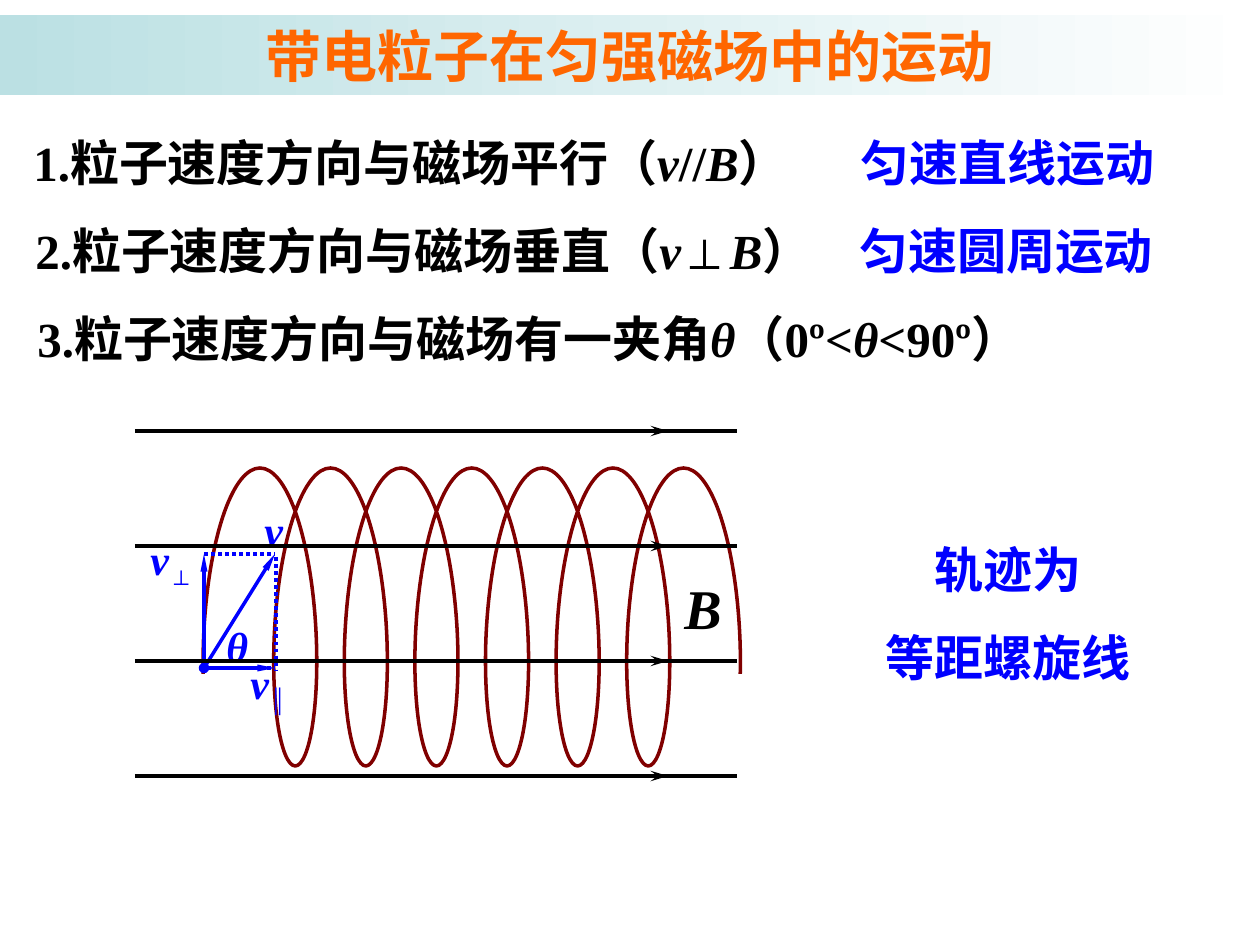
import math
from lxml import etree
from pptx import Presentation
from pptx import util as u
from pptx.dml import color
from pptx.enum import dml, shapes, text
from pptx.oxml import ns

PX = 914400 / 126
HUES = {"ink": "000000", "blue": "0000FF", "coil": "800000",
        "title": "FF6600", "band": "BBE0E3", "page": "FFFFFF"}
ROMAN, HAN, SANS = "Times New Roman", "Noto Sans CJK SC", "Arial"
BARB = {"type": "stealth", "w": "med", "len": "lg"}
DART = {"type": "triangle", "w": "sm", "len": "lg"}
DOT = {"type": "oval", "w": "med", "len": "med"}


def emu(px):
    return round(px * PX)


def hue(name):
    return color.RGBColor.from_string(HUES[name])


def run(words, font=ROMAN, ital=False, base=0):
    return words, font, ital, base


class Deck:
    def __init__(self, wide, high):
        self.prs = Presentation()
        self.prs.slide_width, self.prs.slide_height = emu(wide), emu(high)
        self.page = self.prs.slides.add_slide(self.prs.slide_layouts[6])
        self.items = self.page.shapes
        self.width = u.Pt(2)

    def fill_text(self, shape, paras, size, tint, mid=False, above=0,
                  lead=None, wrap=True):
        frame = shape.text_frame
        frame.word_wrap = wrap
        frame.auto_size = text.MSO_AUTO_SIZE.SHAPE_TO_FIT_TEXT
        for i, runs in enumerate(paras):
            para = frame.add_paragraph() if i else frame.paragraphs[0]
            para.alignment = text.PP_ALIGN.CENTER if mid else text.PP_ALIGN.LEFT
            para.space_before = u.Pt(above)
            if lead:
                para.line_spacing = lead
            for words, font, ital, base in runs:
                part = para.add_run()
                part.text = words
                face = part.font
                face.size, face.name = u.Pt(size), font
                face.bold, face.italic = True, ital
                face.color.rgb = hue(tint)
                props = part._r.get_or_add_rPr()
                if base:
                    props.set("baseline", str(base * 1000))
                if any(c >= "一" for c in words):
                    etree.SubElement(props, ns.qn("a:ea"), typeface=HAN)

    def label(self, box, paras, size, tint, **style):
        shape = self.items.add_textbox(*map(emu, box))
        self.fill_text(shape, paras, size, tint, **style)

    def band(self, box, paras, size, tint, **style):
        rect = self.items.add_shape(shapes.MSO_SHAPE.RECTANGLE, *map(emu, box))
        rect.shadow.inherit = False
        rect.line.fill.background()
        rect.fill.gradient()
        rect.fill.gradient_angle = 0
        for stop, name in zip(rect.fill.gradient_stops, ("band", "page")):
            stop.color.rgb = hue(name)
        self.fill_text(rect, paras, size, tint, **style)

    def line(self, start, end, tint, head=None, tail=None, dots=False):
        link = self.items.add_connector(
            shapes.MSO_CONNECTOR.STRAIGHT, *map(emu, (*start, *end)))
        link.line.color.rgb = hue(tint)
        link.line.width = self.width
        if dots:
            link.line.dash_style = dml.MSO_LINE.ROUND_DOT
        pen = link.line._get_or_add_ln()
        for tag, tip in (("a:headEnd", head), ("a:tailEnd", tail)):
            if tip:
                etree.SubElement(pen, ns.qn(tag), tip)
        etree.SubElement(link._element.spPr, ns.qn("a:effectLst"))

    def curve(self, spots, tint):
        spots = [(emu(x), emu(y)) for x, y in spots]
        pen = self.items.build_freeform(*spots[0], scale=1.0)
        pen.add_line_segments(spots[1:], close=False)
        shape = pen.convert_to_shape()
        legs = list(shape._element.iter(ns.qn("a:lnTo")))
        for i in range(0, len(legs), 3):
            bend = etree.Element(ns.qn("a:cubicBezTo"))
            legs[i].addprevious(bend)
            for leg in legs[i:i + 3]:
                bend.append(leg[0])
                leg.getparent().remove(leg)
        shape.shadow.inherit = False
        shape.fill.background()
        shape.line.color.rgb = hue(tint)
        shape.line.width = self.width


def helix(peak, mid, pitch, sway, rise, turns, over, steps=16):
    def spot(t, lean=0):
        a = 2 * math.pi * t
        dx = pitch + 2 * math.pi * sway * math.cos(a)
        dy = 2 * math.pi * rise * math.sin(a)
        return (peak + pitch * t + sway * math.sin(a) + lean * dx,
                mid - rise * math.cos(a) + lean * dy)

    spots = [spot(-over / steps)]
    third = 1 / (3 * steps)
    for i in range(-over, turns * steps + over):
        a, b = i / steps, (i + 1) / steps
        spots += [spot(a, third), spot(b, -third), spot(b)]
    return spots


def main():
    deck = Deck(1260, 945)
    deck.label((25, 302, 1239, 72), [[
        run("3.粒子速度方向与磁场有一"), run("夹角", HAN), run("θ", ital=True),
        run("（0º<"), run("θ", ital=True), run("<90º）")]], 28, "ink", above=17.5)
    deck.curve(helix(260, 617, 70.6, 37.5, 149, turns=6, over=5), "coil")
    deck.band((0, 15, 1260, 80), [[run("带电粒子在匀强磁场中的运动", HAN)]],
              32, "title", mid=True, above=20)
    deck.label((840, 504, 336, 189), [[run("轨迹为", HAN)], [run("等距螺旋线", HAN)]],
               28, "blue", mid=True, lead=1.5)

    root, up, side, tip = (204, 668), (204, 554), (275, 668), (275, 554)
    deck.line(root, up, "blue", tail=DART)
    deck.line(root, side, "blue", tail=DART)
    deck.line((276, 557), (276, 670), "blue", dots=True)
    deck.line(up, tip, "blue", dots=True)
    for box, sign in (((238, 651, 84, 71), "∥"), ((138, 527, 84, 71), "⊥")):
        deck.label(box, [[run("v", ital=True), run(sign, SANS, base=-25)]],
                   24, "blue", above=15)
    for box, sign in (((214, 614, 63, 63), "θ"), ((252, 498, 53, 63), "v")):
        deck.label(box, [[run(sign, ital=True)]], 24, "blue", above=15)
    deck.line(root, tip, "blue", head=DOT, tail=DART)
    deck.line(root, side, "blue", dots=True)

    for i in range(4):
        y = 431 + 115 * i
        deck.line((135, y), (668, y), "ink", tail=BARB)
        deck.line((627, y), (737, y), "ink")
    deck.label((672, 567, 76, 81), [[run("B", ital=True)]], 32, "ink")

    cases = (("1.", "平行", "//", "匀速直线运动"), ("2.", "垂直", "⊥", "匀速圆周运动"))
    for i, (num, way, sign, move) in enumerate(cases):
        y = 126 + 88 * i
        deck.label((21 + 2 * i, y, 987, 72), [[
            run(num + "粒子速度方向与磁场"), run(way, HAN), run("（"),
            run("v", ital=True), run(sign), run("B", ital=True), run("）")]],
            28, "ink", above=17.5)
        deck.label((848 - i, y, 319, 72), [[run(move)]], 28, "blue", wrap=False)

    deck.prs.save("out.pptx")


if __name__ == "__main__":
    main()
